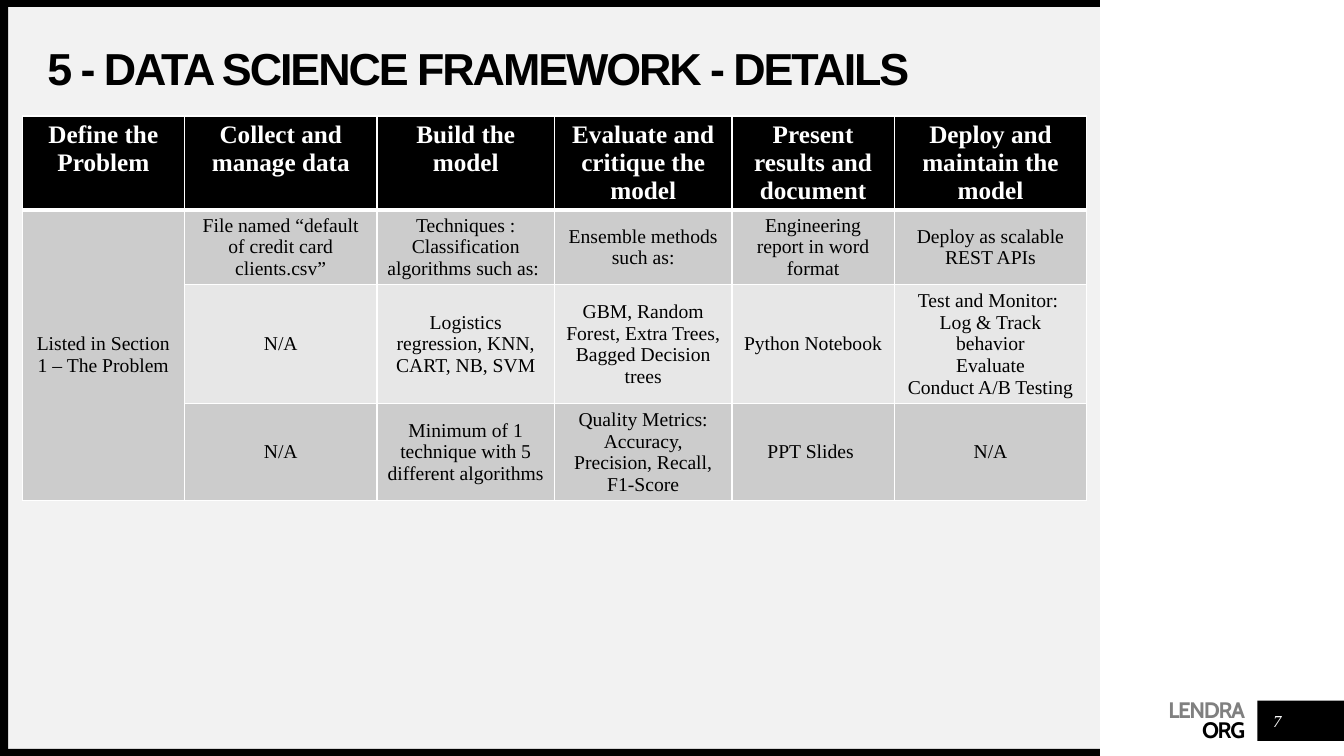
from lxml import etree
from pptx import Presentation
from pptx.dml.color import RGBColor
from pptx.enum.shapes import MSO_SHAPE
from pptx.enum.text import MSO_ANCHOR, MSO_AUTO_SIZE, PP_ALIGN
from pptx.oxml.ns import qn
from pptx.util import Inches, Pt

RECT = MSO_SHAPE.RECTANGLE
LEFT, CENTER, RIGHT = PP_ALIGN.LEFT, PP_ALIGN.CENTER, PP_ALIGN.RIGHT
TOP, MIDDLE = MSO_ANCHOR.TOP, MSO_ANCHOR.MIDDLE
NO_FIT = MSO_AUTO_SIZE.NONE

W, H = 13.33, 7.5
PANEL_W, BAR = 10.91, 0.08
BLACK, WHITE, PANEL, GREY = "000000", "FFFFFF", "F2F2F2", "808080"
BANDS = ("CCCCCC", "E7E7E7")
SERIF = "Times New Roman"

COLS = (1.61, 1.91, 1.76, 1.76, 1.61, 1.91)
ROWS = (0.93, 0.74, 1.18, 0.96)
HEADER = ("Define the Problem", "Collect and manage data", "Build the model",
          "Evaluate and critique the model", "Present results and document",
          "Deploy and maintain the model")
BODY = (
    ("Listed in Section 1 – The Problem",
     "File named “default of credit card clients.csv”",
     "Techniques : Classification algorithms such as: ",
     "Ensemble methods such as:",
     "Engineering report in word format",
     "Deploy as scalable REST APIs"),
    ("", "N/A", "Logistics regression, KNN, CART, NB, SVM",
     "GBM, Random Forest, Extra Trees, Bagged Decision trees",
     "Python Notebook",
     "Test and Monitor: \nLog & Track behavior\nEvaluate\nConduct A/B Testing"),
    ("", "N/A", "Minimum of 1 technique with 5 different algorithms ",
     "Quality Metrics: Accuracy, Precision, Recall, F1-Score",
     "PPT Slides ", "N/A"),
)


def rgb(color):
    """Turn a hex string into a colour."""
    return RGBColor.from_string(color)


def write(tf, text, size, font, color, align=LEFT, bold=False, italic=False,
          spacing=None, tracking=0):
    """Set the text of a frame and format all its runs."""
    tf.text = text
    for p in tf.paragraphs:
        p.alignment = align
        if spacing:
            p.line_spacing = spacing
        for r in p.runs:
            r.font.size, r.font.name = Pt(size), font
            r.font.bold, r.font.italic = bold, italic
            r.font.color.rgb = rgb(color)
            if tracking:
                r.font._element.set("spc", str(round(tracking * 100)))


def set_frame(tf, anchor=TOP, top=0):
    """Give a text frame its anchor, with no side margins and no fitting."""
    tf.word_wrap, tf.auto_size, tf.vertical_anchor = True, NO_FIT, anchor
    tf.margin_left = tf.margin_right = tf.margin_bottom = 0
    tf.margin_top = Inches(top)


def add_rect(s, x, y, w, h, color):
    """Add a plain filled rectangle."""
    sp = s.shapes.add_shape(RECT, Inches(x), Inches(y), Inches(w), Inches(h))
    sp.shadow.inherit = False
    sp.fill.solid()
    sp.fill.fore_color.rgb = rgb(color)
    sp.line.fill.background()


def add_label(s, x, y, w, h, anchor=TOP, top=0):
    """Add an empty text box and return its frame."""
    sp = s.shapes.add_textbox(Inches(x), Inches(y), Inches(w), Inches(h))
    set_frame(sp.text_frame, anchor, top)
    return sp.text_frame


def add_title(s, text):
    """Place and format the title placeholder."""
    sp = s.shapes.title
    sp.left, sp.top = Inches(0.47), Inches(0.47)
    sp.width, sp.height = Inches(10.06), Inches(0.47)
    set_frame(sp.text_frame, MIDDLE)
    write(sp.text_frame, text, 32, "Arial", BLACK, bold=True, spacing=0.9,
          tracking=-1.5)


def set_borders(cell, top, bottom):
    """Draw white cell borders; top and bottom widths are in points."""
    tcPr = cell._tc.get_or_add_tcPr()
    for side, width in (("L", 1), ("R", 1), ("T", top), ("B", bottom)):
        ln = etree.SubElement(tcPr, qn(f"a:ln{side}"), w=str(Pt(width)))
        fill = etree.SubElement(ln, qn("a:solidFill"))
        etree.SubElement(fill, qn("a:srgbClr"), val=WHITE)


def format_cell(cell, text, row):
    """Fill in one table cell according to its row."""
    head = row == 0
    set_borders(cell, 3 if row == 1 else 1, 3 if head else 1)
    cell.fill.solid()
    cell.fill.fore_color.rgb = rgb(BLACK if head else BANDS[(row - 1) % 2])
    cell.vertical_anchor = TOP if head else MIDDLE
    write(cell.text_frame, text, 18 if head else 14, SERIF,
          WHITE if head else BLACK, CENTER, bold=head)


def add_framework_table(s, x, y):
    """Add the framework table, its first column merged below the header."""
    table = s.shapes.add_table(len(ROWS), len(COLS), Inches(x), Inches(y),
                               Inches(sum(COLS)), Inches(sum(ROWS))).table
    for col, width in zip(table.columns, COLS):
        col.width = Inches(width)
    for row, height in zip(table.rows, ROWS):
        row.height = Inches(height)
    for i, texts in enumerate((HEADER, *BODY)):
        for j, text in enumerate(texts):
            format_cell(table.cell(i, j), text, i)
    table.cell(1, 0).merge(table.cell(len(BODY), 0))


def add_frame(s):
    """Add the grey panel with its bars and the page number block."""
    add_rect(s, 0, 0, PANEL_W, H, PANEL)
    add_rect(s, W - 0.86, 6.95, 0.86, 0.4, BLACK)
    for y in (0, H - 0.07):
        add_rect(s, 0, y, PANEL_W, 0.07, BLACK)
    add_rect(s, 0, 0, BAR, H, BLACK)


def add_footer(s, name, number):
    """Add the two-line company name and the page number."""
    tf = add_label(s, 10.53, 6.94, 1.82, 0.44, top=0.04)
    write(tf, "\v".join(name), 16, "Cabin", GREY, RIGHT, bold=True,
          spacing=Pt(14), tracking=-1)
    tf.paragraphs[0].runs[-1].font.color.rgb = rgb(BLACK)
    tf = add_label(s, 12.52, 7, 0.3, 0.3, MIDDLE)
    write(tf, number, 12, SERIF, WHITE, CENTER, italic=True)


def main():
    """Build the slide and save it."""
    prs = Presentation()
    prs.slide_width, prs.slide_height = Inches(W), Inches(H)
    s = prs.slides.add_slide(prs.slide_layouts[5])
    add_frame(s)
    add_title(s, "5 - DATA SCIENCE FRAMEWORK - DETAILS")
    title = s.shapes.title._element
    title.getparent().append(title)
    add_framework_table(s, 0.22, 1.15)
    add_footer(s, ("LENDRA", "ORG"), "7")
    prs.save("out.pptx")


main()
